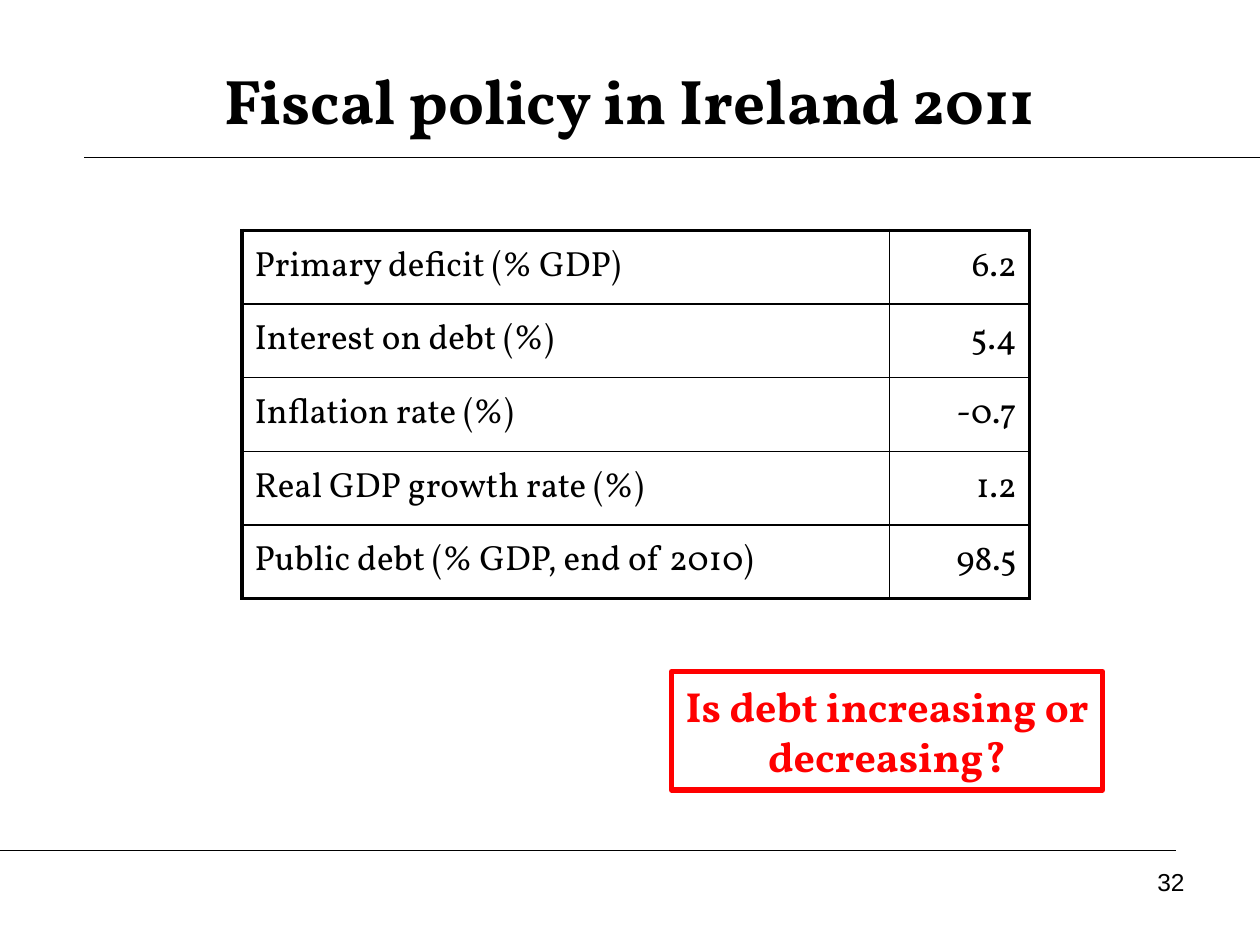
import pptx
import pptx.dml.color
import pptx.enum.shapes
import pptx.enum.text
import pptx.oxml
import pptx.oxml.ns
import pptx.util
from pptx.util import Inches

COLORS = {"ink": "000000", "accent": "FF0000"}
ALIGN = pptx.enum.text.PP_ALIGN
MIDDLE = pptx.enum.text.MSO_ANCHOR.MIDDLE
THIN, THICK = 1, 2.25
FIGURES = [
    ("Primary deficit (% GDP)", "6.2"),
    ("Interest on debt (%)", "5.4"),
    ("Inflation rate (%)", "-0.7"),
    ("Real GDP growth rate (%)", "1.2"),
    ("Public debt (% GDP, end of 2010)", "98.5"),
]


def rgb(name):
    """Return the named palette colour."""
    return pptx.dml.color.RGBColor.from_string(COLORS[name])


def write(frame, text, size, align, color="ink", bold=False, font="Vollkorn"):
    """Put one formatted run into a text frame."""
    frame.word_wrap = True
    para = frame.paragraphs[0]
    para.alignment = align
    span = para.add_run()
    span.text = text
    span.font.name = font
    span.font.size = pptx.util.Pt(size)
    span.font.bold = bold
    span.font.color.rgb = rgb(color)


def add_rule(page, left, right, top):
    """Draw a thin horizontal line."""
    rule = page.shapes.add_connector(
        pptx.enum.shapes.MSO_CONNECTOR.STRAIGHT,
        Inches(left), Inches(top), Inches(right), Inches(top))
    rule.line.color.rgb = rgb("ink")
    rule.line.width = pptx.util.Pt(0.75)
    effects = pptx.oxml.ns.qn("a:effectLst")
    rule._element.spPr.append(rule._element.spPr.makeelement(effects, {}))


def add_title(page, left, top, width, height):
    """Fill and place the title placeholder."""
    title = page.shapes.title
    title.left, title.top = Inches(left), Inches(top)
    title.width, title.height = Inches(width), Inches(height)
    title.text_frame.vertical_anchor = MIDDLE
    write(title.text_frame, "Fiscal policy in Ireland 2011", 36,
          ALIGN.CENTER, bold=True)


def set_borders(cell, widths):
    """Set the left, right, top and bottom borders of a cell, in points."""
    properties = cell._tc.get_or_add_tcPr()
    for index, (side, width) in enumerate(zip("LRTB", widths)):
        border = pptx.oxml.parse_xml(
            f'<a:ln{side} {pptx.oxml.ns.nsdecls("a")} '
            f'w="{int(pptx.util.Pt(width))}"><a:solidFill>'
            f'<a:srgbClr val="{COLORS["ink"]}"/></a:solidFill></a:ln{side}>')
        properties.insert(index, border)


def add_figures(page, left, top, width, height):
    """Build the table of figures with a thick outer frame."""
    last = len(FIGURES) - 1
    table = page.shapes.add_table(
        len(FIGURES), 2, Inches(left), Inches(top),
        Inches(width), Inches(height)).table
    table.first_row = table.horz_banding = False
    value_width = 1.11
    table.columns[0].width = Inches(width - value_width)
    table.columns[1].width = Inches(value_width)
    for row, texts in enumerate(FIGURES):
        table.rows[row].height = Inches(height / len(FIGURES))
        for column, text in enumerate(texts):
            cell = table.cell(row, column)
            cell.fill.background()
            cell.vertical_anchor = MIDDLE
            write(cell.text_frame, text, 20,
                  ALIGN.RIGHT if column else ALIGN.LEFT)
            outer = (column == 0, column == 1, row == 0, row == last)
            set_borders(cell, [THICK if edge else THIN for edge in outer])


def add_question(page, left, top, width, height):
    """Add the framed question."""
    box = page.shapes.add_shape(
        pptx.enum.shapes.MSO_SHAPE.RECTANGLE,
        Inches(left), Inches(top), Inches(width), Inches(height))
    box.shadow.inherit = False
    box.fill.background()
    box.line.color.rgb = rgb("accent")
    box.line.width = pptx.util.Pt(3)
    box.text_frame.vertical_anchor = MIDDLE
    write(box.text_frame, "Is debt increasing or decreasing?", 24,
          ALIGN.CENTER, "accent", bold=True)


def add_page_number(page, left, top, width, height):
    """Add the page number."""
    box = page.shapes.add_textbox(
        Inches(left), Inches(top), Inches(width), Inches(height))
    write(box.text_frame, "32", 14, ALIGN.RIGHT, font="Arial")


def build():
    """Build and save the deck."""
    deck = pptx.Presentation()
    deck.slide_width, deck.slide_height = Inches(10), Inches(7.5)
    page = deck.slides.add_slide(deck.slide_layouts.get_by_name("Title Only"))
    add_rule(page, 0.67, 10, 1.25)
    add_rule(page, 0, 9.33, 6.75)
    add_title(page, 0.5, 0.33, 9, 0.92)
    add_figures(page, 1.92, 1.83, 6.25, 2.92)
    add_question(page, 5.33, 5.33, 3.42, 0.94)
    add_page_number(page, 7.17, 6.83, 2.33, 0.52)
    deck.save("out.pptx")


build()
